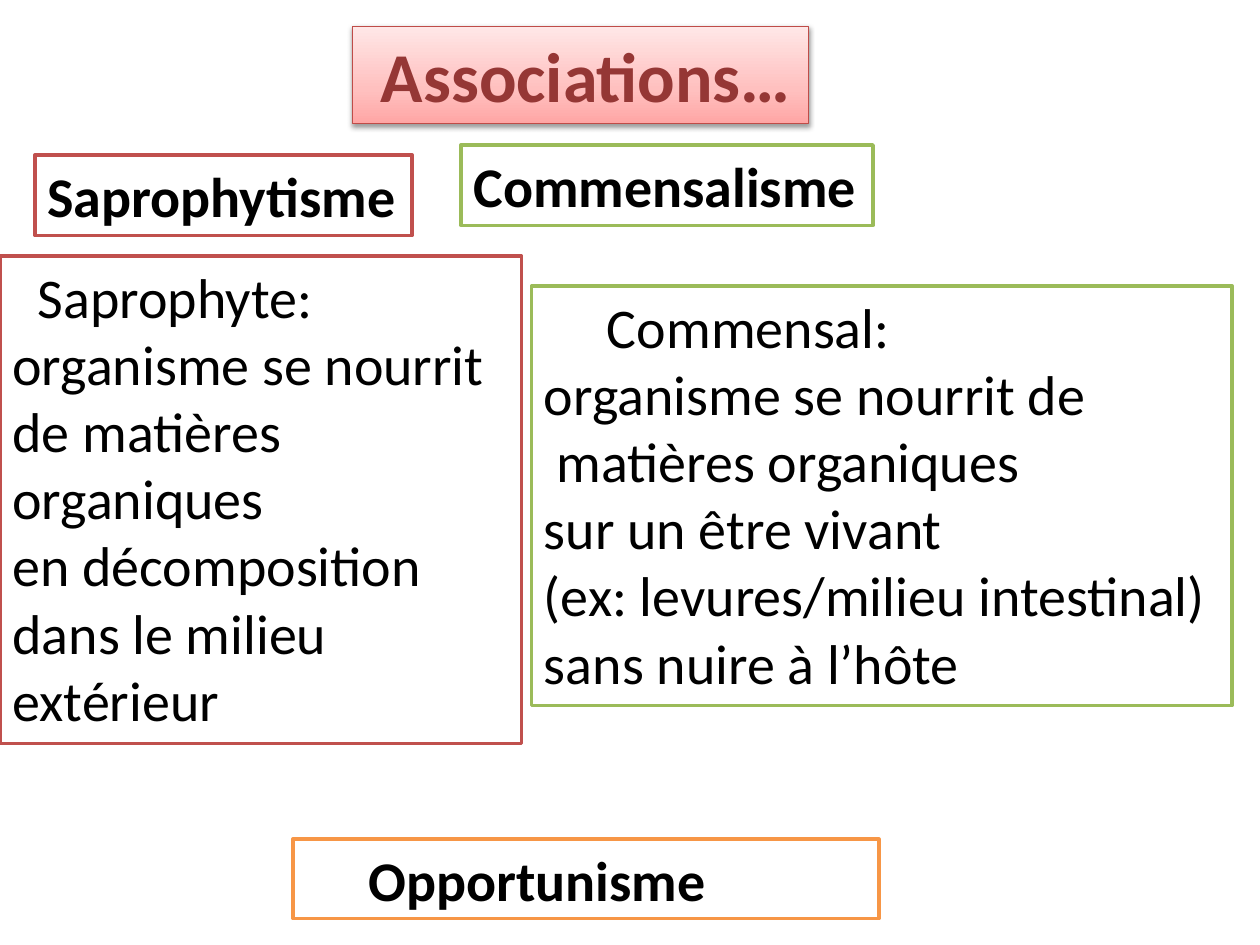
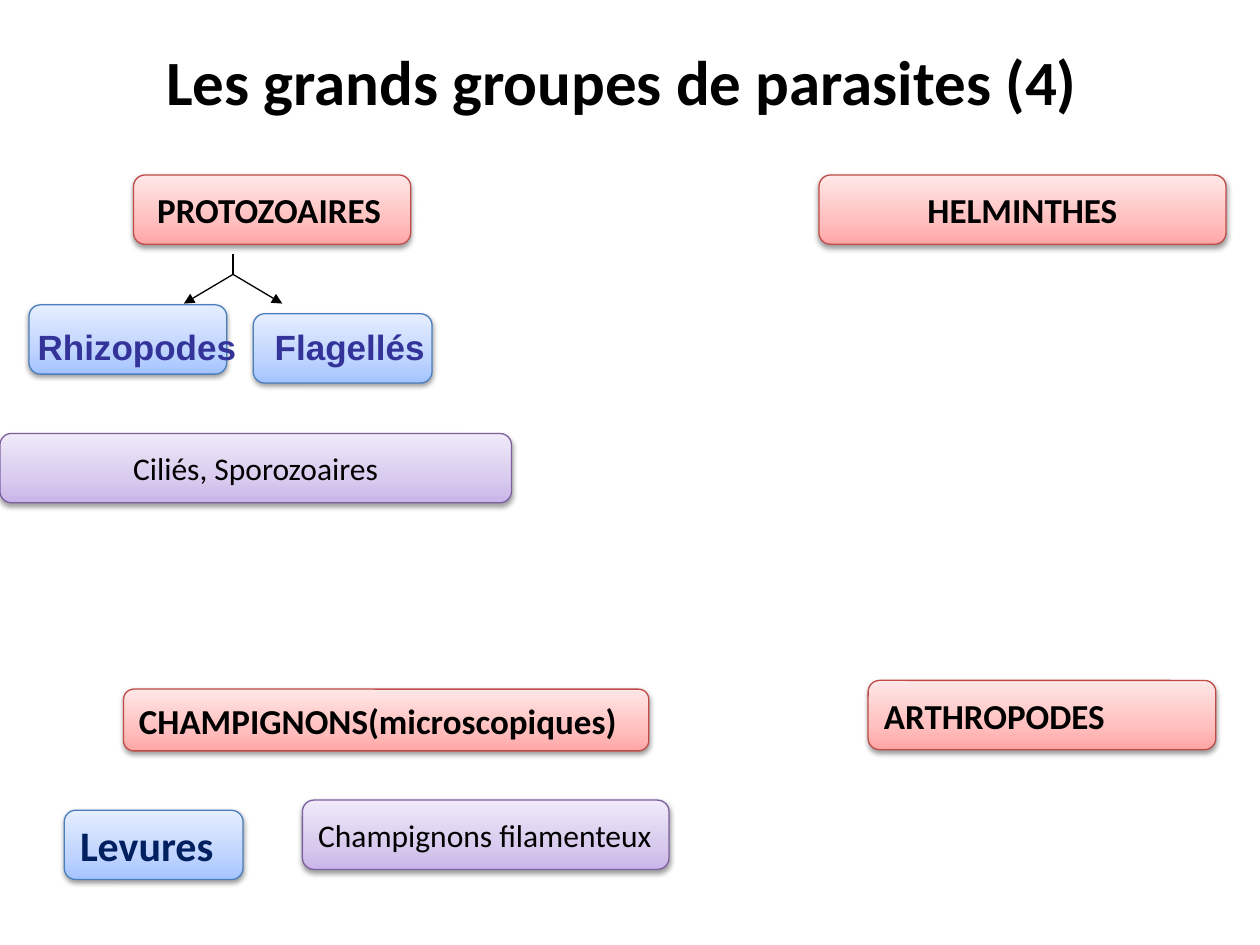
import pptx
import pptx.dml.color
import pptx.enum.shapes
import pptx.enum.text
import pptx.oxml
import pptx.oxml.ns
import pptx.util

Pt = pptx.util.Pt
qn = pptx.oxml.ns.qn
SHAPE = pptx.enum.shapes.MSO_SHAPE
ALIGN = pptx.enum.text.PP_ALIGN
ANCHOR = pptx.enum.text.MSO_ANCHOR
AUTO = pptx.enum.text.MSO_AUTO_SIZE

COLORS = {
    "black": "000000",
    "white": "FFFFFF",
    "red": "C0504D",
    "green": "9BBB59",
    "orange": "F79646",
    "maroon": "953735",
    "navy": "002060",
    "indigo": "333399",
}
TINTS = {
    "red": {"line": "BF4C48", "stops": ("FFA6A5", "FFC0BF", "FFE7E7")},
    "blue": {"line": "4B7EBC", "stops": ("A4C4FF", "BFD4FF", "E6EEFF")},
    "purple": {"line": "7D60A0", "stops": ("C9B5E8", "D8CBEE", "F0EAF9")},
}
STOP_PERCENTS = (0, 35, 100)


def rgb(value):
    """Turn a hex string into a colour."""
    return pptx.dml.color.RGBColor.from_string(value)


def add_child(parent, tag, **attributes):
    """Append a drawing element to a parent and return it."""
    child = pptx.oxml.parse_xml(f"<a:{tag} {pptx.oxml.ns.nsdecls('a')}/>")
    for name, value in attributes.items():
        child.set(name, str(value))
    parent.append(child)
    return child


def write(s, lines, size=32, color="black", bold=False, align=ALIGN.LEFT,
          wrap=False, font="Calibri", indents=None, tab=None):
    """Fill a shape with one paragraph per line, indented by line number."""
    tf = s.text_frame
    tf.word_wrap = wrap
    for i, line in enumerate(lines):
        p = tf.paragraphs[0] if i == 0 else tf.add_paragraph()
        p.text = line
        p.alignment = align
        pPr = p._p.get_or_add_pPr()
        if indents and i in indents:
            pPr.set("indent", str(Pt(indents[i])))
        if tab:
            add_child(add_child(pPr, "tabLst"), "tab", pos=Pt(tab), algn="l")
        p.font.name = font
        p.font.size = Pt(size)
        p.font.bold = bold
        p.font.color.rgb = rgb(COLORS[color])
    return tf


def add_frame(slide, box, line, lines, **style):
    """Draw a white rectangle with a coloured outline and text."""
    s = slide.shapes.add_shape(SHAPE.RECTANGLE, *map(Pt, box))
    s.shadow.inherit = False
    s.fill.solid()
    s.fill.fore_color.rgb = rgb(COLORS["white"])
    s.line.color.rgb = rgb(COLORS[line])
    s.line.width = Pt(2)
    tf = write(s, lines, **style)
    tf.vertical_anchor = ANCHOR.TOP
    tf.auto_size = AUTO.SHAPE_TO_FIT_TEXT


def add_tinted(slide, box, tint, text="", shape=SHAPE.ROUNDED_RECTANGLE, **style):
    """Draw a shape with a vertical gradient, a soft shadow and text."""
    s = slide.shapes.add_shape(shape, *map(Pt, box))
    s.fill.gradient()
    s.fill.gradient_angle = 90
    stops = s._element.spPr.find(f".//{qn('a:gsLst')}")
    for stop in list(stops):
        stops.remove(stop)
    for percent, value in zip(STOP_PERCENTS, TINTS[tint]["stops"]):
        add_child(add_child(stops, "gs", pos=percent * 1000), "srgbClr", val=value)
    s.line.color.rgb = rgb(TINTS[tint]["line"])
    s.line.width = Pt(0.75)
    s.shadow.inherit = False
    effects = s._element.spPr.find(qn("a:effectLst"))
    shadow = add_child(effects, "outerShdw", blurRad=Pt(3.1), dist=Pt(1.6),
                       dir=5400000, rotWithShape=0)
    add_child(add_child(shadow, "srgbClr", val=COLORS["black"]), "alpha", val=38000)
    if text:
        write(s, [text], **style).vertical_anchor = ANCHOR.MIDDLE


def add_line(slide, start, end, arrow=False):
    """Draw a thin black line, with an arrowhead at its end if asked."""
    s = slide.shapes.add_connector(pptx.enum.shapes.MSO_CONNECTOR.STRAIGHT,
                                   *map(Pt, start + end))
    s.line.color.rgb = rgb(COLORS["black"])
    s.line.width = Pt(0.75)
    if arrow:
        add_child(s.line._get_or_add_ln(), "tailEnd", type="triangle")
    add_child(s._element.spPr, "effectLst")


def build_associations(slide):
    """Lay out the kinds of association."""
    add_frame(slide, (167.4, 479.5, 334.8, 45.4), "orange", ["Opportunisme"],
              bold=True, wrap=True, indents={0: 36})
    add_tinted(slide, (201.6, 15, 260.6, 55.6), "red", "Associations…",
               shape=SHAPE.RECTANGLE, size=40, color="maroon", bold=True,
               indents={0: 9})
    add_frame(slide, (20, 88.6, 215.5, 46), "red", ["Saprophytisme"], bold=True)
    add_frame(slide, (263.5, 82.8, 235.4, 46), "green", ["Commensalisme"], bold=True)
    add_frame(slide, (0, 146.2, 298, 278.6), "red", [
        "Saprophyte:",
        "organisme se nourrit de matières organiques",
        "en décomposition dans le milieu extérieur",
    ], wrap=True, indents={0: 14.4})
    add_frame(slide, (303.8, 163.4, 400.3, 239.8), "green", [
        "Commensal:",
        "organisme se nourrit de",
        "matières organiques",
        "sur un être vivant",
        "(ex: levures/milieu intestinal)",
        "sans nuire à l’hôte",
    ], wrap=True, indents={0: 36, 2: 7.2})


def build_parasite_groups(slide):
    """Lay out the main groups of parasites."""
    heading = {"size": 20, "bold": True}
    add_tinted(slide, (144.7, 179.3, 102.2, 39.6), "blue")
    add_tinted(slide, (16.6, 174.2, 113, 39.6), "blue")
    add_tinted(slide, (76.3, 100, 158.4, 39.6), "red", "PROTOZOAIRES",
               indents={0: 4.5}, **heading)
    s = slide.shapes.add_textbox(*map(Pt, (14.4, 182.2, 668.9, 31)))
    write(s, ["Rhizopodes\tFlagellés"], color="indigo", font="Arial",
          wrap=True, tab=135.5, **heading)

    fork = (133.2, 156.8)
    add_line(slide, (133.2, 145.4), fork)
    for tip in (105.1, 161.3):
        add_line(slide, fork, (tip, 173.5), arrow=True)

    add_tinted(slide, (468, 100, 232.6, 39.6), "red", "HELMINTHES",
               align=ALIGN.CENTER, **heading)
    add_tinted(slide, (70.6, 393.8, 300.2, 35.3), "red",
               "CHAMPIGNONS(microscopiques)", **heading)
    add_tinted(slide, (36.7, 463, 102.2, 39.6), "blue", "Levures",
               size=24, color="navy", bold=True)
    add_tinted(slide, (172.8, 457.2, 209.5, 39.6), "purple",
               "Champignons filamenteux", size=18)
    add_tinted(slide, (496.1, 388.8, 198.7, 39.6), "red", "ARTHROPODES", **heading)
    add_frame(slide, (87.8, 20.9, 540.7, 51.1), "white",
              ["Les grands groupes de parasites (4)"], size=36, bold=True)
    add_tinted(slide, (0, 247.7, 292.3, 39.6), "purple", "Ciliés, Sporozoaires",
               size=18, align=ALIGN.CENTER)


def main():
    """Build the slides and save them."""
    prs = pptx.Presentation()
    prs.slide_width, prs.slide_height = Pt(720), Pt(540)
    for build in (build_associations, build_parasite_groups):
        build(prs.slides.add_slide(prs.slide_layouts[6]))
    prs.save("out.pptx")


if __name__ == "__main__":
    main()
